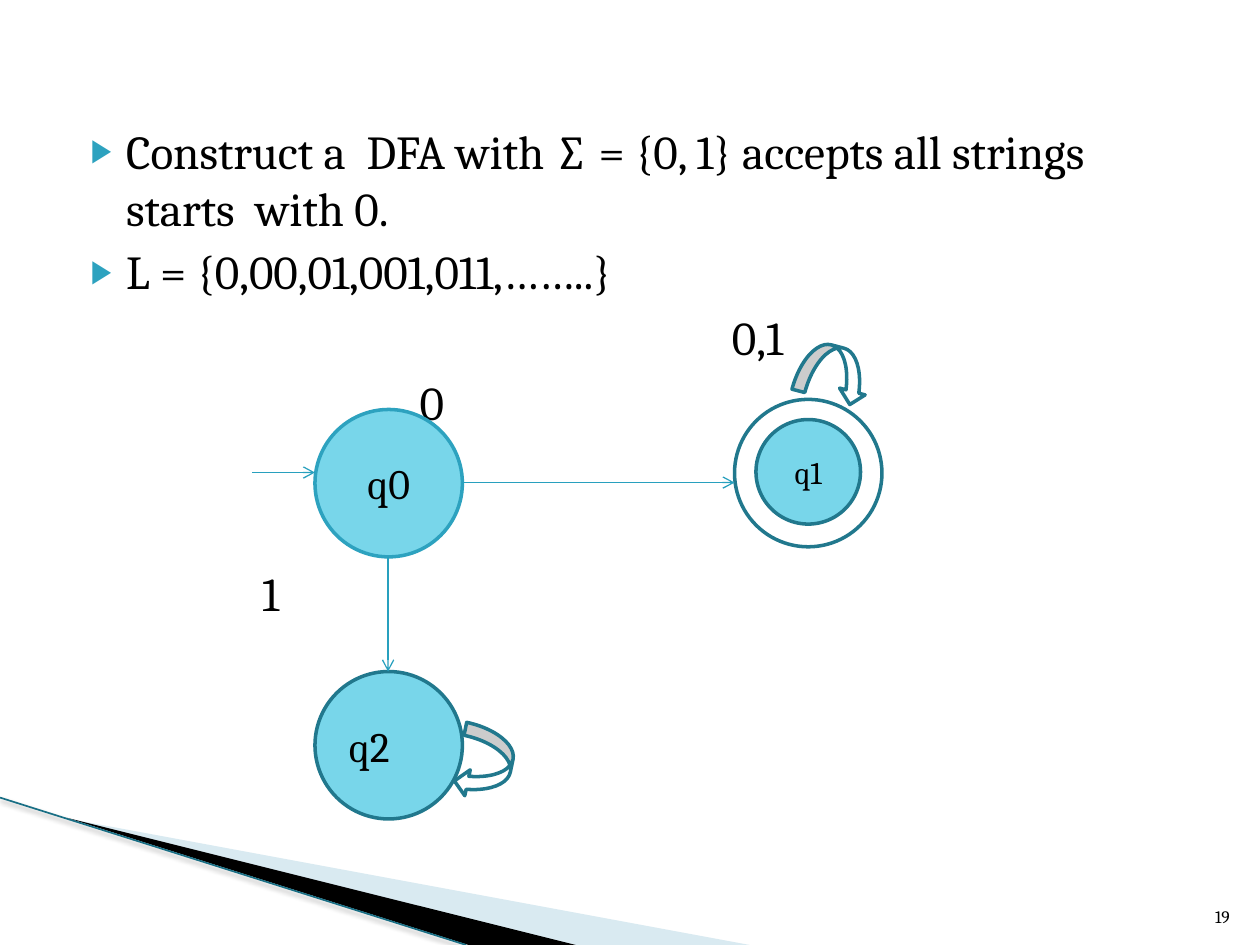
"""Build a slide showing a DFA that accepts strings starting with 0."""
import pptx
import pptx.dml.color
import pptx.enum.shapes
import pptx.enum.text
import pptx.oxml
import pptx.oxml.ns
import pptx.util

Inches = pptx.util.Inches
Pt = pptx.util.Pt
RGBColor = pptx.dml.color.RGBColor
MSO_SHAPE = pptx.enum.shapes.MSO_SHAPE
PP_ALIGN = pptx.enum.text.PP_ALIGN
MSO_ANCHOR = pptx.enum.text.MSO_ANCHOR

FONT = "Cambria"
BLACK = RGBColor(0x00, 0x00, 0x00)
WHITE = RGBColor(0xFF, 0xFF, 0xFF)
STATE_FILL = RGBColor(0x78, 0xD6, 0xEA)
ACCENT = RGBColor(0x2D, 0xA2, 0xBF)
DARK_TEAL = RGBColor(0x21, 0x78, 0x8D)
ARROW = RGBColor(0x28, 0xA0, 0xBE)
PALE_WEDGE = RGBColor(0xA0, 0xCB, 0xDC)
EDGE = RGBColor(0x19, 0x6F, 0x85)

STATE_SIZE = 1.17
BULLETS = [
    "Construct a  DFA with ∑ = {0, 1} accepts all strings starts  with 0.",
    "L = {0,00,01,001,011,……..}",
]


def parse_drawing(xml):
    """Parse an XML snippet that uses the drawing namespace prefix."""
    head, rest = xml.split(">", 1)
    closing = "/" if head.endswith("/") else ""
    namespace = pptx.oxml.ns.nsdecls("a")
    return pptx.oxml.parse_xml(f"{head.rstrip('/')} {namespace}{closing}>{rest}")


def format_paragraph(paragraph, size, align=PP_ALIGN.LEFT):
    """Apply the slide's font and an alignment to a paragraph."""
    paragraph.alignment = align
    for run in paragraph.runs:
        run.font.name = FONT
        run.font.size = Pt(size)
        run.font.color.rgb = BLACK


def add_bullets(slide):
    """Fill the content placeholder with bulleted paragraphs."""
    body = slide.placeholders[1]
    body.left, body.top = Inches(0.5), Inches(0.92)
    body.width, body.height = Inches(9), Inches(5.65)
    text_frame = body.text_frame
    text_frame.text = "\n".join(BULLETS)
    text_frame.auto_size = pptx.enum.text.MSO_AUTO_SIZE.NONE
    for paragraph in text_frame.paragraphs:
        format_paragraph(paragraph, 27)
        paragraph.space_before = Pt(4)
        properties = paragraph._p.get_or_add_pPr()
        properties.set("marL", str(Inches(0.4)))
        properties.set("indent", str(Inches(-0.28)))
        for xml in (
            f'<a:buClr><a:srgbClr val="{ACCENT}"/></a:buClr>',
            '<a:buSzPct val="68000"/>',
            '<a:buChar char="▶"/>',
        ):
            properties.append(parse_drawing(xml))


def add_label(slide, text, left, top, width, height, size, align=PP_ALIGN.LEFT):
    """Add a text box without insets."""
    box = slide.shapes.add_textbox(Inches(left), Inches(top), Inches(width), Inches(height))
    text_frame = box.text_frame
    text_frame.word_wrap = True
    text_frame.margin_left = text_frame.margin_right = 0
    text_frame.margin_top = text_frame.margin_bottom = 0
    text_frame.text = text
    format_paragraph(text_frame.paragraphs[0], size, align)


def add_outlined(slide, kind, left, top, width, height, fill, line):
    """Add a filled preset shape with a two-point outline."""
    shape = slide.shapes.add_shape(kind, Inches(left), Inches(top), Inches(width), Inches(height))
    shape.shadow.inherit = False
    shape.fill.solid()
    shape.fill.fore_color.rgb = fill
    shape.line.color.rgb = line
    shape.line.width = Pt(2)
    return shape


def add_state(slide, text, left, top, diameter=STATE_SIZE, fill=STATE_FILL,
              line=DARK_TEAL, size=24, align=PP_ALIGN.CENTER):
    """Add a round automaton state with its name."""
    state = add_outlined(slide, MSO_SHAPE.OVAL, left, top, diameter, diameter, fill, line)
    if text:
        state.text_frame.text = text
        state.text_frame.vertical_anchor = MSO_ANCHOR.MIDDLE
        format_paragraph(state.text_frame.paragraphs[0], size, align)


def add_loop(slide, left, top, rotation):
    """Add a curved arrow for a transition back to the same state."""
    loop = add_outlined(slide, MSO_SHAPE.CURVED_DOWN_ARROW, left, top, 0.58, 0.42, WHITE, DARK_TEAL)
    loop.rotation = rotation


def add_line(slide, start, end, color, width, effects="<a:effectLst/>"):
    """Add a straight connector with the given effects."""
    line = slide.shapes.add_connector(
        pptx.enum.shapes.MSO_CONNECTOR.STRAIGHT, *map(Inches, start + end))
    line.line.color.rgb = color
    line.line.width = Pt(width)
    line._element.spPr.append(parse_drawing(effects))
    return line


def add_transition(slide, start, end):
    """Add a thin connector with an open arrowhead."""
    transition = add_line(slide, start, end, ARROW, 0.75)
    transition.line._get_or_add_ln().append(parse_drawing('<a:tailEnd type="arrow"/>'))


def add_wedge(slide, points, color, opacity=100):
    """Add a closed polygon without an outline."""
    first, *others = [tuple(map(Inches, point)) for point in points]
    builder = slide.shapes.build_freeform(*first)
    builder.add_line_segments(others, close=True)
    wedge = builder.convert_to_shape()
    wedge.shadow.inherit = False
    wedge.fill.solid()
    wedge.fill.fore_color.rgb = color
    wedge.line.fill.background()
    if opacity < 100:
        color_element = wedge._element.spPr.find(".//" + pptx.oxml.ns.qn("a:srgbClr"))
        color_element.append(parse_drawing(f'<a:alpha val="{opacity * 1000}"/>'))


def add_corner(slide):
    """Add the decorative wedges in the lower left corner."""
    add_wedge(slide, [(0.55, 6.5), (5.95, 7.5), (4.56, 7.5)], PALE_WEDGE, 40)
    add_wedge(slide, [(0.53, 6.49), (4.57, 7.5), (3.72, 7.5)], BLACK)
    shadow = (
        f'<a:effectLst><a:outerShdw blurRad="{Pt(3.1)}" dist="{Pt(1.6)}" dir="5400000">'
        '<a:srgbClr val="000000"><a:alpha val="38000"/></a:srgbClr>'
        "</a:outerShdw></a:effectLst>"
    )
    add_line(slide, (0, 6.33), (3.7, 7.5), EDGE, 0.96, shadow)


def add_automaton(slide):
    """Draw the states, transitions and input symbols."""
    for text, left, top in (("0,1", 5.81, 2.45), ("0", 3.33, 2.96), ("1", 2.08, 4.48)):
        add_label(slide, text, left, top, 0.6, 0.46, 27)
    add_state(slide, "q0", 2.5, 3.25, line=ACCENT)
    add_state(slide, "", 5.83, 3.17, fill=WHITE)
    add_state(slide, "q2", 2.5, 5.33, align=PP_ALIGN.LEFT)
    add_transition(slide, (3.67, 3.83), (5.83, 3.83))
    add_transition(slide, (3.08, 4.42), (3.08, 5.33))
    add_transition(slide, (2, 3.75), (2.5, 3.75))
    add_state(slide, "q1", 6, 3.33, diameter=0.83, size=18)
    add_loop(slide, 6.33, 2.75, 14.9)
    add_loop(slide, 3.56, 5.85, 101.9)


def main():
    """Create and save the presentation."""
    presentation = pptx.Presentation()
    presentation.slide_width, presentation.slide_height = Inches(10), Inches(7.5)
    slide = presentation.slides.add_slide(presentation.slide_layouts[1])
    title = slide.shapes.title._element
    title.getparent().remove(title)
    add_corner(slide)
    add_bullets(slide)
    add_label(slide, "19", 9.46, 7.19, 0.3, 0.17, 10, PP_ALIGN.RIGHT)
    add_automaton(slide)
    presentation.save("out.pptx")


if __name__ == "__main__":
    main()
